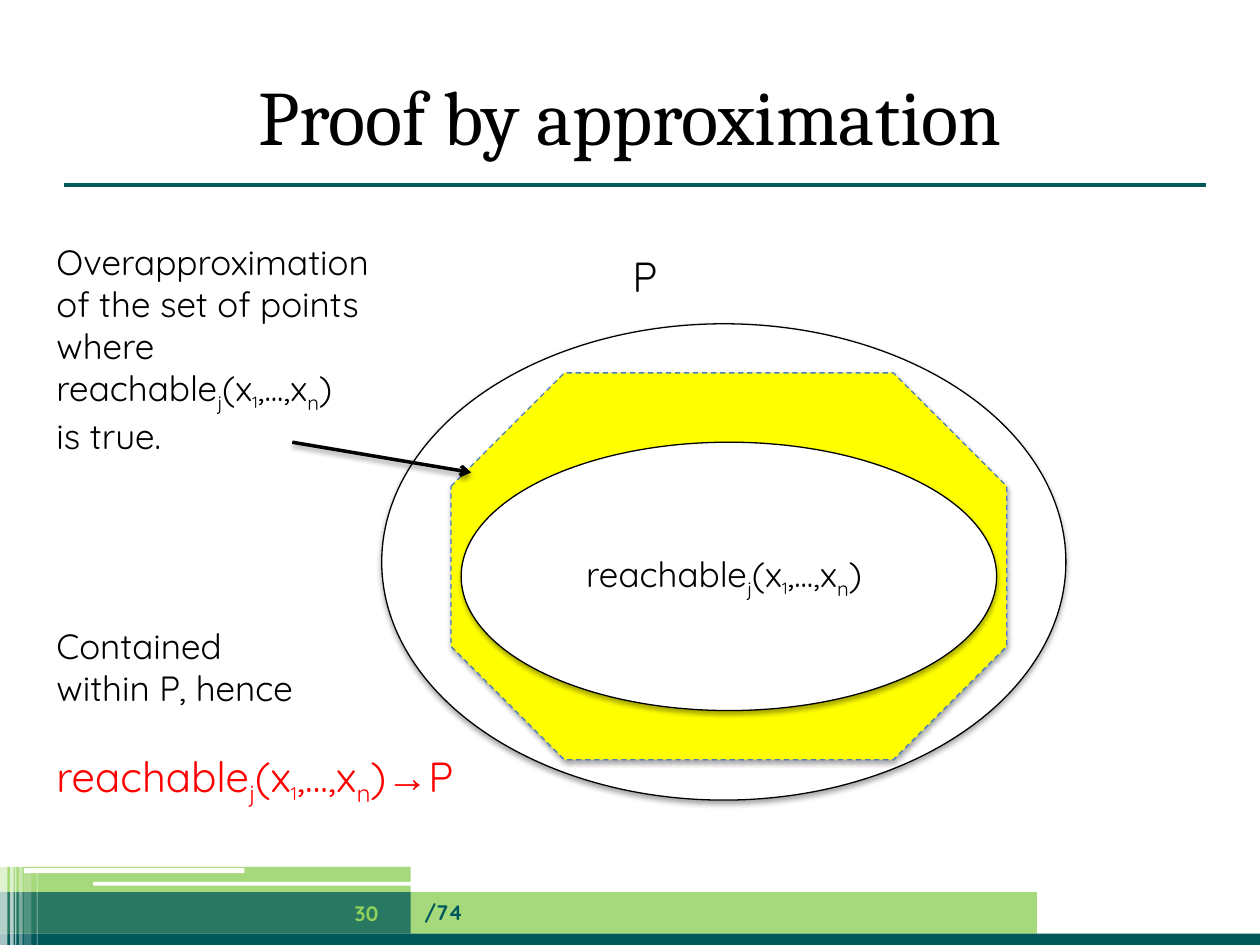
from lxml.etree import SubElement
from pptx import Presentation
from pptx.dml.color import RGBColor
from pptx.enum.dml import MSO_LINE
from pptx.enum.shapes import MSO_CONNECTOR, MSO_SHAPE
from pptx.enum.text import MSO_ANCHOR, PP_ALIGN
from pptx.oxml.ns import qn
from pptx.util import Pt

WIDTH, HEIGHT = 720, 540
BLACK, WHITE, YELLOW, RED = "000000", "FFFFFF", "FFFF00", "FF0000"
TEAL, GREEN, BLUE = "00585A", "90D05C", "4B7EBC"


def color(hex_value):
    return RGBColor.from_string(hex_value)


def formula(size, index_size):
    """Runs of reachable_j(x_1,...,x_n) as (text, format) pairs."""
    normal = {"size": Pt(size)}
    sub = {"size": Pt(size), "baseline": -25}
    return [("reachable", normal), ("j", sub), ("(x", normal),
            ("1", {**sub, "size": Pt(index_size)}),
            (",...,x", normal), ("n", sub), (")", normal)]


class SlideBuilder:
    font = "Quicksand"

    def __init__(self, slide):
        self.slide = slide

    def add_shadow(self, shape, alpha):
        """Soft black shadow falling straight down."""
        properties = shape._element.spPr
        for old in properties.findall(qn("a:effectLst")):
            properties.remove(old)
        effects = SubElement(properties, qn("a:effectLst"))
        outer = SubElement(effects, qn("a:outerShdw"), blurRad=str(Pt(3.1)),
                           dist=str(Pt(1.8)), dir="5400000", rotWithShape="0")
        black = SubElement(outer, qn("a:srgbClr"), val=BLACK)
        SubElement(black, qn("a:alpha"), val=str(alpha * 1000))

    def shape(self, kind, box, fill, opacity=100, outline=None, dash=None):
        shape = self.slide.shapes.add_shape(kind, *map(Pt, box))
        shape.shadow.inherit = False
        shape.fill.solid()
        shape.fill.fore_color.rgb = color(fill)
        if opacity < 100:
            tint = shape._element.spPr.find(qn("a:solidFill"))[0]
            SubElement(tint, qn("a:alpha"), val=str(opacity * 1000))
        if outline:
            shape.line.color.rgb = color(outline)
            shape.line.width = Pt(0.75)
            if dash:
                shape.line.dash_style = dash
            self.add_shadow(shape, 35)
        else:
            shape.line.fill.background()
        return shape

    def line(self, start, end, ink, width):
        line = self.slide.shapes.add_connector(
            MSO_CONNECTOR.STRAIGHT, *map(Pt, start + end))
        line.line.color.rgb = color(ink)
        line.line.width = Pt(width)
        SubElement(line._element.spPr, qn("a:effectLst"))
        return line

    def arrow(self, start, end, ink, width):
        arrow = self.line(start, end, ink, width)
        SubElement(arrow.line._get_or_add_ln(), qn("a:tailEnd"), type="arrow")
        self.add_shadow(arrow, 38)

    def paragraph(self, paragraph, runs, ink=BLACK, align=PP_ALIGN.LEFT, before=0):
        paragraph.alignment = align
        paragraph.space_before = Pt(before)
        for text, values in runs:
            run = paragraph.add_run()
            run.text = text
            run.font.color.rgb = color(ink)
            for name, value in {"name": self.font, **values}.items():
                if name == "baseline":
                    run._r.get_or_add_rPr().set(name, str(value * 1000))
                else:
                    setattr(run.font, name, value)

    def text(self, box, paragraphs, anchor=MSO_ANCHOR.TOP, wrap=True):
        """Text box; each paragraph is a dict of arguments for paragraph()."""
        frame = self.slide.shapes.add_textbox(*map(Pt, box)).text_frame
        frame.word_wrap = wrap
        frame.vertical_anchor = anchor
        for number, values in enumerate(paragraphs):
            target = frame.add_paragraph() if number else frame.paragraphs[0]
            self.paragraph(target, **values)


def draw_footer(builder):
    for box, fill, opacity in [
        ((0, 509.76, 592.56, 23.76), GREEN, 80),
        ((0, 533.52, WIDTH, 6.48), TEAL, 100),
        ((0, 509.76, 234.72, 23.76), TEAL, 75),
        ((0, 495.36, 234.72, 14.4), GREEN, 80),
    ]:
        builder.shape(MSO_SHAPE.RECTANGLE, box, fill, opacity)
    for box in [(53.28, 504, 241.2, 2.16), (13.68, 496.08, 126, 2.88)]:
        builder.shape(MSO_SHAPE.ROUNDED_RECTANGLE, box, WHITE)
    for left, top, width, opacity in [
        (0, 494, 4.32, 65), (5.76, 494, 2.16, 65), (8.64, 494, 0.72, 60),
        (10.8, 494, 2.16, 40), (13.68, 496.8, 4.32, 20), (20.88, 496.8, 0.72, 30),
    ]:
        builder.shape(MSO_SHAPE.RECTANGLE, (left, top, width, HEIGHT - top),
                      WHITE, opacity)

    bold = {"size": Pt(12), "bold": True}
    builder.text((235.44, 506.88, 357.12, 28.8),
                 [{"runs": [("/74", bold)], "ink": TEAL}], MSO_ANCHOR.MIDDLE)
    builder.text((184.32, 507.6, 50.4, 28.8),
                 [{"runs": [("30", bold)], "ink": GREEN, "align": PP_ALIGN.CENTER}],
                 MSO_ANCHOR.MIDDLE)


def draw_sets(builder):
    builder.shape(MSO_SHAPE.OVAL, (218.16, 185.04, 390.96, 272.16), WHITE,
                  outline=BLACK)
    builder.shape(MSO_SHAPE.OCTAGON, (257.76, 213.12, 317.52, 221.04), YELLOW,
                  outline=BLUE, dash=MSO_LINE.DASH)
    reachable = builder.shape(MSO_SHAPE.OVAL, (263.52, 252.72, 306, 153.36), WHITE,
                              outline=BLACK)
    frame = reachable.text_frame
    frame.vertical_anchor = MSO_ANCHOR.MIDDLE
    builder.paragraph(frame.paragraphs[0],
                      formula(20, 16) + [(" ", {"size": Pt(20)})],
                      align=PP_ALIGN.CENTER)
    builder.text((354.24, 139.68, 28.8, 36),
                 [{"runs": [("P", {"size": Pt(24)})]}], wrap=False)


def draw_explanation(builder):
    body = {"size": Pt(20)}
    conclusion = formula(24, 18) + [("→", {"size": Pt(24), "name": "Arial"}),
                                    ("P", {"size": Pt(24)})]
    builder.text((25.2, 133.92, 271.44, 349.2), [
        {"runs": [("Overapproximation", body)]},
        {"runs": [("of the set of points", body)]},
        {"runs": [("where", body)]},
        {"runs": formula(20, 16)},
        {"runs": [("is true.", body)]},
        {"runs": [("Contained", body)], "before": 96},
        {"runs": [("within P, hence", body)]},
        {"runs": conclusion, "ink": RED, "before": 24},
    ])
    builder.arrow((167.04, 252.72), (269.28, 270), BLACK, 2)


def main():
    deck = Presentation()
    deck.slide_width, deck.slide_height = Pt(WIDTH), Pt(HEIGHT)
    builder = SlideBuilder(deck.slides.add_slide(deck.slide_layouts[6]))
    draw_footer(builder)
    builder.line((36.72, 105.84), (689.04, 105.84), TEAL, 2.25)
    title = ("Proof by approximation", {"size": Pt(44), "name": "Cambria"})
    builder.text((36, 31.68, 648, 67.68),
                 [{"runs": [title], "align": PP_ALIGN.CENTER}], MSO_ANCHOR.MIDDLE)
    draw_sets(builder)
    draw_explanation(builder)
    deck.save("out.pptx")


if __name__ == "__main__":
    main()
